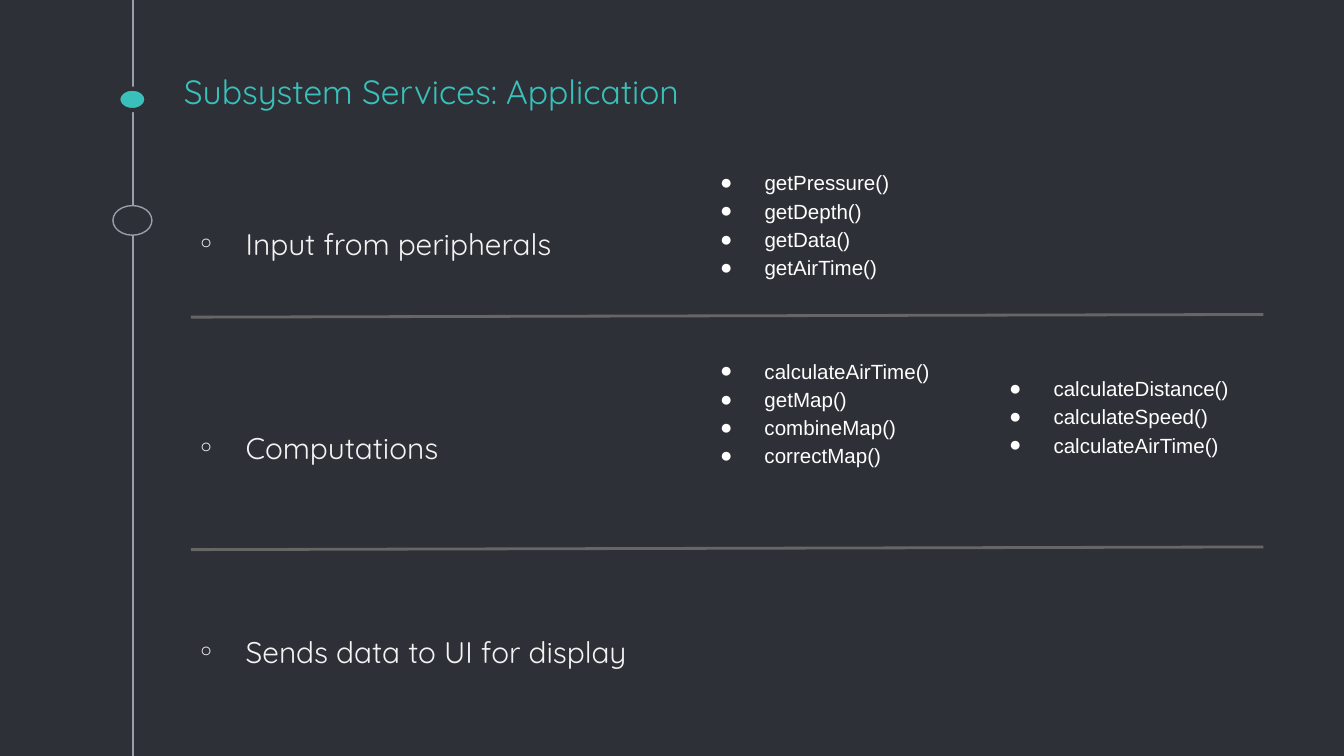
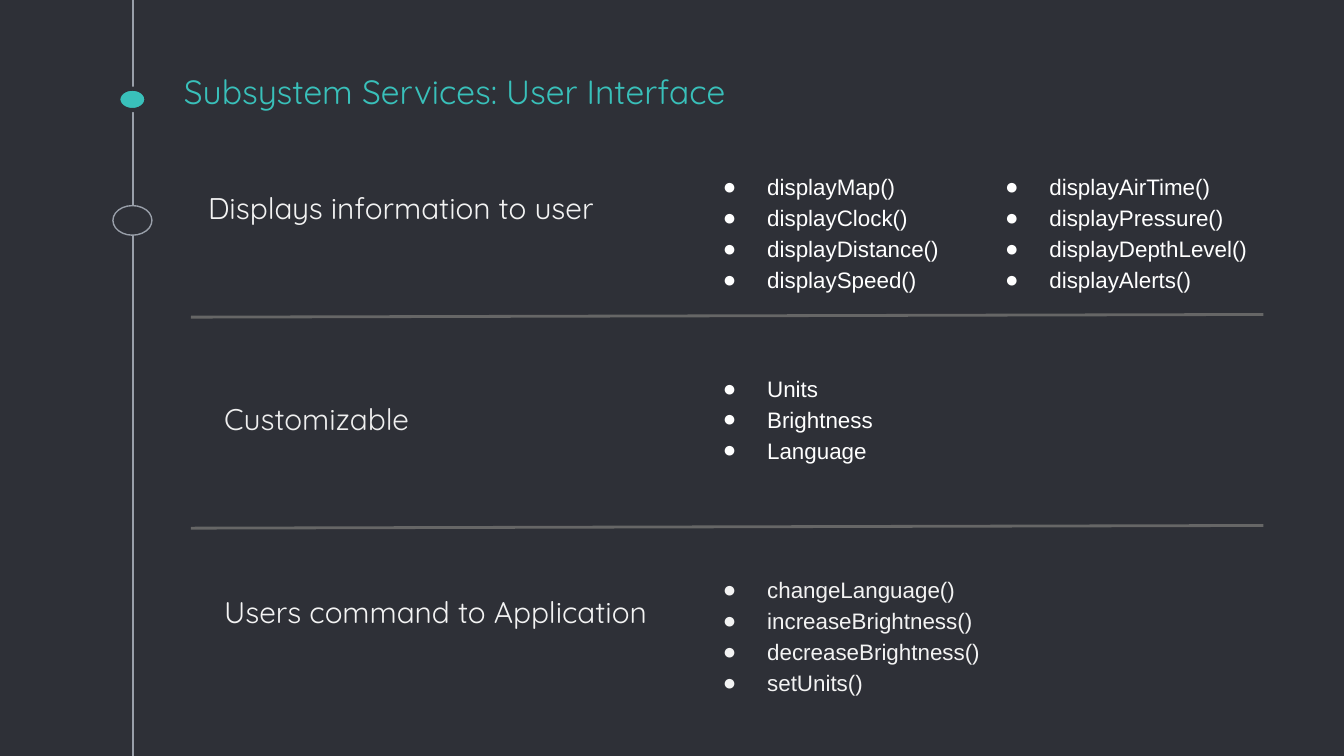
from dataclasses import dataclass

from lxml.etree import SubElement
from pptx import Presentation
from pptx.dml.color import RGBColor
from pptx.enum.shapes import MSO_CONNECTOR, MSO_SHAPE
from pptx.enum.text import MSO_ANCHOR
from pptx.oxml.ns import qn
from pptx.util import Pt

EMU_PER_PX = 4572  # 200 px to the inch
WIDTH, HEIGHT = 2000, 1125


def px(length):
    return length * EMU_PER_PX


@dataclass(frozen=True)
class Theme:
    background: str = "2E3037"
    accent: str = "39C0BA"
    rail: str = "999FA9"
    divider: str = "666666"
    white: str = "FFFFFF"
    light: str = "F3F3F3"
    soft: str = "EFEFEF"
    heading_font: str = "Quicksand"
    list_font: str = "Arial"
    title_size: int = 18
    topic_size: int = 16
    list_size: int = 12
    small_list_size: int = 11
    inset: int = 20
    list_margin: int = 100
    list_hang: int = -66
    topic_hang: int = -72


class SlideWriter:
    def __init__(self, deck, theme):
        self.deck = deck
        self.theme = theme
        self.page = None

    def start(self, title):
        """Add a slide with its background, timeline rail and title."""
        theme = self.theme
        self.page = self.deck.slides.add_slide(self.deck.slide_layouts[6])
        fill = self.page.background.fill
        fill.solid()
        fill.fore_color.rgb = RGBColor.from_string(theme.background)
        self.line(198, -2, 198, HEIGHT + 2, theme.rail, 0.75)
        self.ellipse(176, 132, 42, 32, theme.accent, theme.background, 2.25)
        self.ellipse(168, 306, 58, 44, theme.background, theme.rail, 0.75)
        frame = self.text_frame(254, 110, 1500, 76, MSO_ANCHOR.BOTTOM)
        self.span(frame.paragraphs[0], title, theme.heading_font,
                  theme.title_size, theme.accent)

    def line(self, x1, y1, x2, y2, color, weight):
        connector = self.page.shapes.add_connector(
            MSO_CONNECTOR.STRAIGHT, px(x1), px(y1), px(x2), px(y2))
        connector.line.color.rgb = RGBColor.from_string(color)
        connector.line.width = Pt(weight)
        SubElement(connector._element.spPr, qn("a:effectLst"))

    def divider(self, y):
        """Draw a row divider that rises slightly to the right."""
        self.line(284, y, 1880, y - 4, self.theme.divider, 1.5)

    def ellipse(self, x, y, width, height, fill, outline, weight):
        shape = self.page.shapes.add_shape(
            MSO_SHAPE.OVAL, px(x), px(y), px(width), px(height))
        shape.shadow.inherit = False
        shape.fill.solid()
        shape.fill.fore_color.rgb = RGBColor.from_string(fill)
        shape.line.color.rgb = RGBColor.from_string(outline)
        shape.line.width = Pt(weight)

    def text_frame(self, x, y, width, height, anchor=MSO_ANCHOR.TOP):
        box = self.page.shapes.add_textbox(px(x), px(y), px(width), px(height))
        frame = box.text_frame
        frame.word_wrap = True
        frame.vertical_anchor = anchor
        frame.margin_left = frame.margin_right = px(self.theme.inset)
        frame.margin_top = frame.margin_bottom = px(self.theme.inset)
        return frame

    def span(self, para, text, font, size, color):
        run = para.add_run()
        run.text = text
        run.font.name = font
        run.font.size = Pt(size)
        run.font.color.rgb = RGBColor.from_string(color)

    def bullet(self, para, mark, hang, font, color):
        properties = para._p.get_or_add_pPr()
        properties.set("marL", str(px(self.theme.list_margin)))
        properties.set("indent", str(px(hang)))
        bullet_color = SubElement(properties, qn("a:buClr"))
        SubElement(bullet_color, qn("a:srgbClr"), val=color)
        SubElement(properties, qn("a:buFont"), typeface=font)
        SubElement(properties, qn("a:buChar"), char=mark)

    def topic(self, x, y, width, height, text, color=None, bulleted=False, indent=0):
        theme = self.theme
        color = color or theme.light
        para = self.text_frame(x, y, width, height).paragraphs[0]
        if bulleted:
            self.bullet(para, "◦", theme.topic_hang, theme.heading_font, color)
            para.line_spacing = 2.0
        elif indent:
            para._p.get_or_add_pPr().set("indent", str(px(indent)))
        self.span(para, text, theme.heading_font, theme.topic_size, color)

    def services(self, x, y, width, height, names, size, color=None):
        """Write a bulleted list of service names."""
        theme = self.theme
        color = color or theme.white
        frame = self.text_frame(x, y, width, height)
        for index, name in enumerate(names):
            para = frame.add_paragraph() if index else frame.paragraphs[0]
            self.bullet(para, "●", theme.list_hang, theme.list_font, color)
            para.line_spacing = 1.15
            self.span(para, name, theme.list_font, size, color)


def application_slide(writer):
    size = writer.theme.small_list_size
    writer.start("Subsystem Services: Application")
    writer.topic(246, 262, 724, 128, "Input from peripherals", bulleted=True)
    writer.services(1018, 228, 724, 196, [
        "getPressure()", "getDepth()", "getData()", "getAirTime()"], size)
    writer.topic(246, 566, 614, 106, "Computations", bulleted=True)
    writer.topic(246, 870, 1436, 196, "Sends data to UI for display", bulleted=True)
    writer.services(1018, 508, 414, 222, [
        "calculateAirTime()", "getMap()", "combineMap()", "correctMap()"], size)
    writer.services(1448, 534, 442, 196, [
        "calculateDistance()", "calculateSpeed()", "calculateAirTime()"], size)
    for y in (472, 818):
        writer.divider(y)


def user_interface_slide(writer):
    theme = writer.theme
    size = theme.list_size
    writer.start("Subsystem Services: User Interface")
    writer.topic(254, 262, 724, 158, "Displays information to user", indent=36)
    writer.services(1022, 232, 422, 222, [
        "displayMap()", "displayClock()", "displayDistance()", "displaySpeed()"], size)
    writer.services(1442, 232, 500, 222, [
        "displayAirTime()", "displayPressure()", "displayDepthLevel()",
        "displayAlerts()"], size)
    writer.topic(314, 576, 606, 102, "Customizable", theme.soft)
    writer.services(1022, 532, 766, 146, ["Units", "Brightness", "Language"], size)
    writer.topic(314, 864, 854, 132, "Users command to Application")
    writer.services(1022, 832, 724, 194, [
        "changeLanguage()", "increaseBrightness()", "decreaseBrightness()",
        "setUnits()"], size, theme.light)
    for y in (472, 786):
        writer.divider(y)


def main():
    deck = Presentation()
    deck.slide_width, deck.slide_height = px(WIDTH), px(HEIGHT)
    writer = SlideWriter(deck, Theme())
    application_slide(writer)
    user_interface_slide(writer)
    deck.save("out.pptx")


if __name__ == "__main__":
    main()
